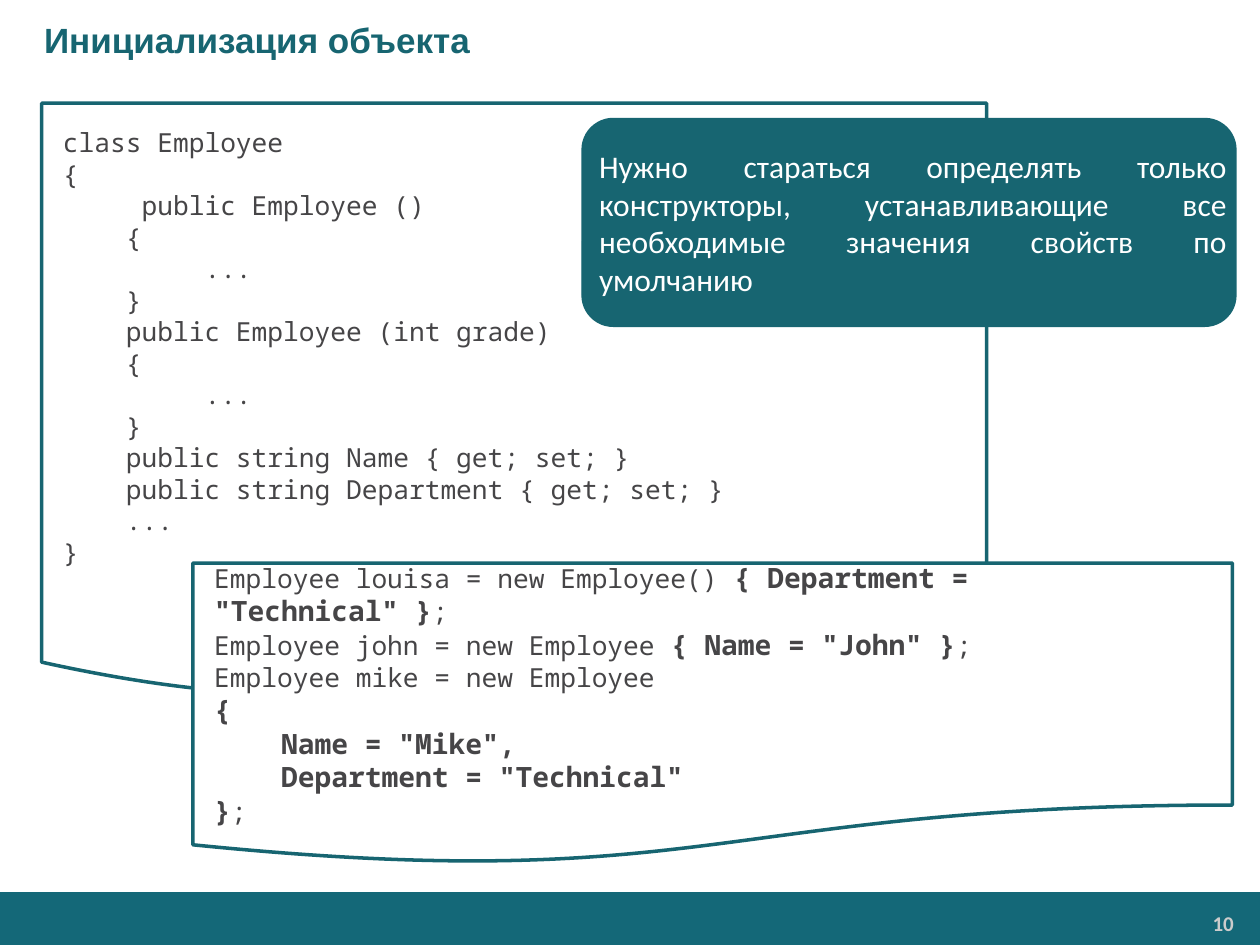
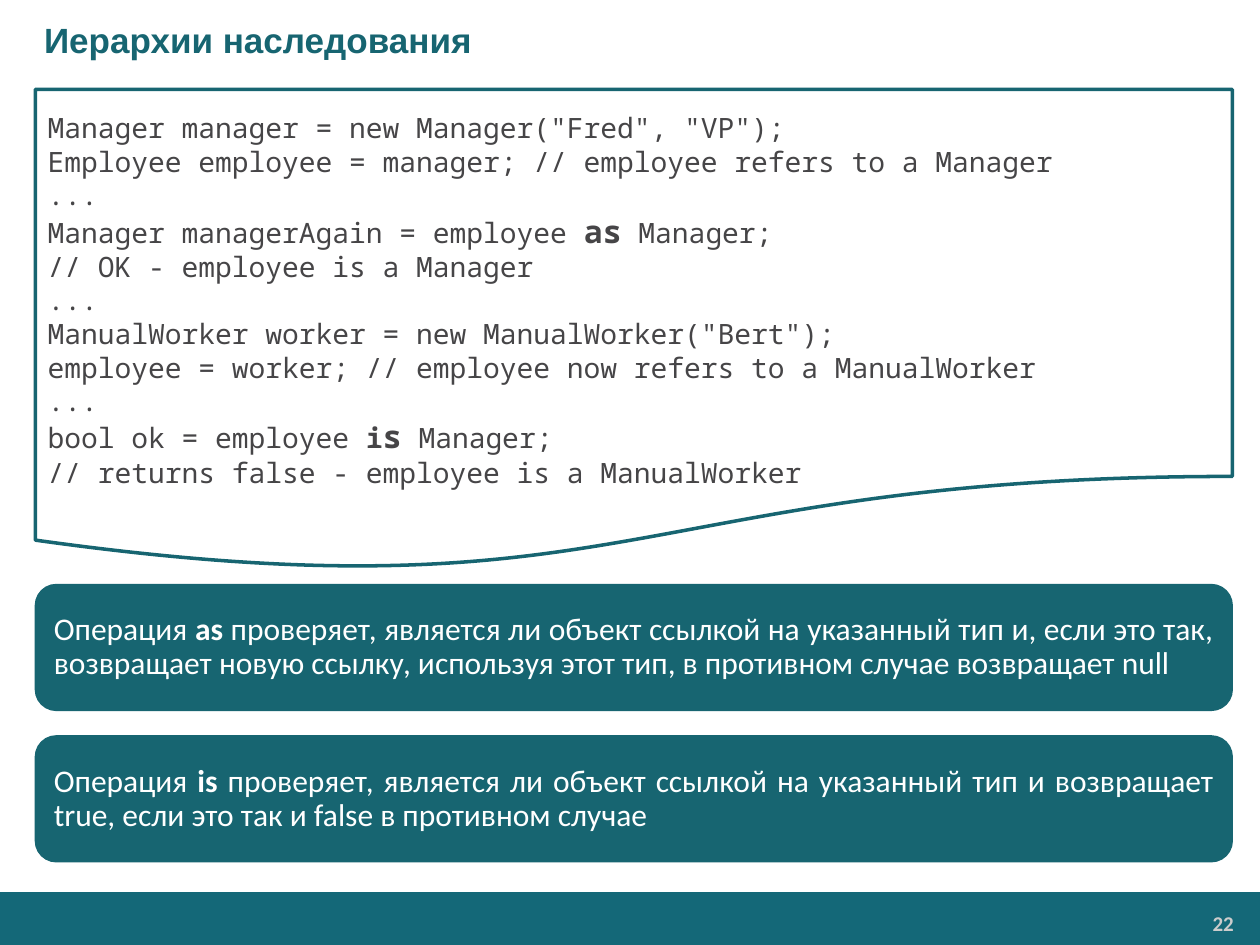
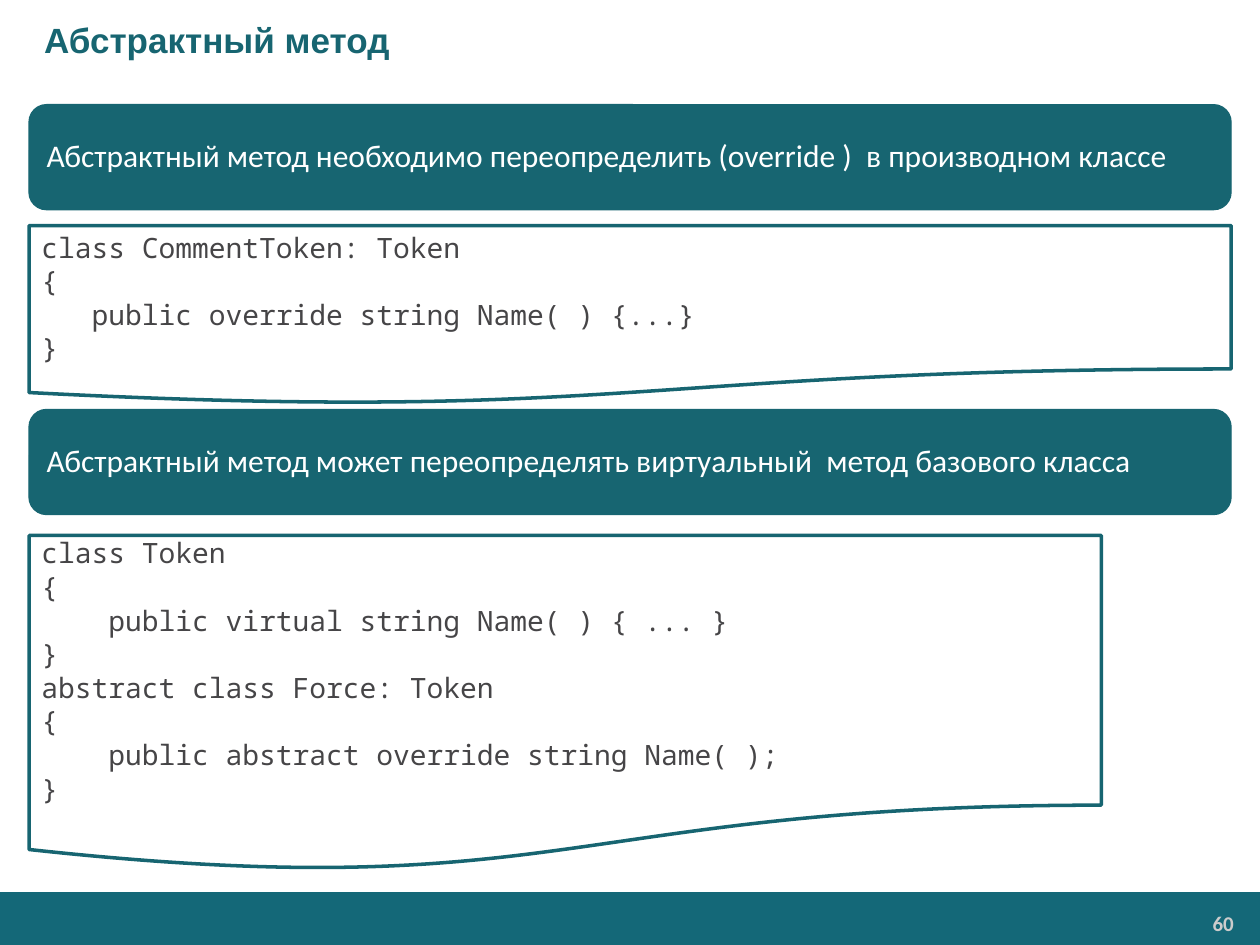
from dataclasses import dataclass

from pptx import Presentation
from pptx.dml.color import RGBColor
from pptx.enum.shapes import MSO_SHAPE
from pptx.enum.text import MSO_ANCHOR, PP_ALIGN
from pptx.util import Pt


@dataclass(frozen=True)
class Theme:
    teal: str = "176571"
    band: str = "146878"
    paper: str = "FFFFFF"
    ink: str = "464547"
    page: str = "CCCCCC"
    heading_font: str = "Arial"
    body_font: str = "Calibri"
    code_font: str = "Noto Sans Mono"
    heading_size: int = 20
    note_size: int = 18
    code_size: int = 16
    small_code_size: int = 15
    page_size: int = 12
    code_line: float = 2
    note_line: float = 0.75


THEME = Theme()
WIDTH, HEIGHT = 720, 540
INSET = (7.2, 3.6, 7.2, 3.6)

CONSTRUCTORS = [
    "class Employee",
    "{",
    "     public Employee ()",
    "    {",
    "         ...",
    "    }",
    "    public Employee (int grade)",
    "    {",
    "         ...",
    "    }",
    "    public string Name { get; set; }",
    "    public string Department { get; set; }",
    "    ...",
    "}",
]
INITIALIZERS = [
    ["Employee louisa = new Employee() ", ('{ Department = "Technical" }', 16), ";"],
    ["Employee john = new Employee ", ('{ Name = "John" }', 16), ";"],
    "Employee mike = new Employee",
    [("{", 16)],
    [('    Name = "Mike",', 16)],
    [('    Department = "Technical"', 16)],
    [("}", 16), ";"],
]
CONVERSIONS = [
    'Manager manager = new Manager("Fred", "VP");',
    "Employee employee = manager; // employee refers to a Manager",
    "...",
    ["Manager managerAgain = employee ", ("as", 18), " Manager;"],
    "// OK - employee is a Manager",
    "...",
    'ManualWorker worker = new ManualWorker("Bert");',
    "employee = worker; // employee now refers to a ManualWorker",
    "...",
    ["bool ok = employee ", ("i", 16), ("s", 18), " Manager;"],
    "// returns false - employee is a ManualWorker",
]
OVERRIDE = [
    "class CommentToken: Token",
    "{",
    "   public override string Name( ) {...}",
    "}",
]
ABSTRACT_OVERRIDE = [
    "class Token",
    "{",
    "    public virtual string Name( ) { ... }",
    "}",
    "abstract class Force: Token",
    "{",
    "    public abstract override string Name( );",
    "}",
]
DEFAULTS_ADVICE = [
    "Нужно стараться определять только конструкторы, устанавливающие все "
    "необходимые значения свойств по умолчанию"
]
AS_RULE = [[
    "Операция ", ("as", 18),
    " проверяет, является ли объект ссылкой на указанный тип и, если это так, "
    "возвращает новую ссылку, используя этот тип, в противном случае возвращает null",
]]
IS_RULE = [[
    "Операция ", ("is", 18),
    " проверяет, является ли объект ссылкой на указанный тип и возвращает true, "
    "если это так и false в противном случае",
]]
MUST_OVERRIDE = ["Абстрактный метод необходимо переопределить (override )  в производном классе"]
MAY_OVERRIDE = ["Абстрактный метод может переопределять виртуальный  метод базового класса"]

SMALL = THEME.small_code_size
LESSONS = [
    ("Инициализация объекта", 10, [
        ("code", (23.8, 59, 540, 342), CONSTRUCTORS,
         {"size": SMALL, "inset": (12.2, 12.2, 11.5, 7.9)}),
        ("code", (110.2, 321.8, 594, 172.4), INITIALIZERS,
         {"size": SMALL, "inset": (12.2, 10.8, 11.5, 0)}),
        ("note", (332.6, 67.7, 373.7, 118.8), DEFAULTS_ADVICE,
         {"corner": 0.15, "spacing": 1.0, "inset": (4.5, 0, 0, 0)}),
    ]),
    ("Иерархии наследования", 22, [
        ("code", (20.2, 51.1, 684, 275.8), CONVERSIONS, {"inset": (7.2, 22.8, 7.2, 3.6)}),
        ("note", (20.2, 334, 684, 72), AS_RULE, {}),
        ("note", (20.2, 420.5, 684, 72), IS_RULE, {}),
    ]),
    ("Абстрактный метод", 60, [
        ("note", (16.6, 59.8, 686.9, 60), MUST_OVERRIDE, {}),
        ("code", (16.6, 128.9, 686.9, 102.2), OVERRIDE, {}),
        ("note", (16.6, 234, 686.9, 60), MAY_OVERRIDE, {}),
        ("code", (16.6, 306, 612.7, 192.2), ABSTRACT_OVERRIDE, {}),
    ]),
]


def write(frame, lines, *, font, size, color, bold=False, align=PP_ALIGN.LEFT,
          anchor=MSO_ANCHOR.MIDDLE, inset=INSET, spacing=1.0):
    frame.word_wrap = True
    frame.vertical_anchor = anchor
    (frame.margin_left, frame.margin_top,
     frame.margin_right, frame.margin_bottom) = map(Pt, inset)
    for index, line in enumerate(lines):
        paragraph = frame.add_paragraph() if index else frame.paragraphs[0]
        paragraph.alignment = align
        paragraph.line_spacing = spacing
        for piece in [line] if isinstance(line, str) else line:
            plain = isinstance(piece, str)
            words, points = (piece, size) if plain else piece
            run = paragraph.add_run()
            run.text = words
            run.font.name = font
            run.font.size = Pt(points)
            run.font.bold = bold or not plain
            run.font.color.rgb = RGBColor.from_string(color)


def panel(slide, preset, place, fill, line=None, line_width=0):
    shape = slide.shapes.add_shape(preset, *map(Pt, place))
    shape.shadow.inherit = False
    shape.fill.solid()
    shape.fill.fore_color.rgb = RGBColor.from_string(fill)
    if line:
        shape.line.color.rgb = RGBColor.from_string(line)
        shape.line.width = Pt(line_width)
    else:
        shape.line.fill.background()
    return shape


def code(slide, place, lines, size=THEME.code_size, inset=INSET):
    page = panel(slide, MSO_SHAPE.FLOWCHART_DOCUMENT, place, THEME.paper,
                 THEME.teal, THEME.code_line)
    write(page.text_frame, lines, font=THEME.code_font, size=size,
          color=THEME.ink, inset=inset)


def note(slide, place, lines, corner=None, spacing=0.9, inset=INSET):
    callout = panel(slide, MSO_SHAPE.ROUNDED_RECTANGLE, place, THEME.teal,
                    THEME.teal, THEME.note_line)
    if corner:
        callout.adjustments[0] = corner
    write(callout.text_frame, lines, font=THEME.body_font, size=THEME.note_size,
          color=THEME.paper, align=PP_ALIGN.JUSTIFY, spacing=spacing, inset=inset)


def frame_slide(slide, heading, number):
    panel(slide, MSO_SHAPE.RECTANGLE, (0, 509.8, WIDTH, HEIGHT - 509.8), THEME.band)
    page_number = slide.shapes.add_textbox(Pt(592.6), Pt(517.7), Pt(117.4), Pt(20.2))
    write(page_number.text_frame, [str(number)], font=THEME.body_font,
          size=THEME.page_size, color=THEME.page, bold=True, align=PP_ALIGN.RIGHT,
          anchor=MSO_ANCHOR.TOP, inset=(5, 2.9, 5, 2.9))
    title = slide.shapes.add_textbox(0, 0, Pt(WIDTH), Pt(45.4))
    write(title.text_frame, [heading], font=THEME.heading_font, size=THEME.heading_size,
          color=THEME.teal, bold=True, inset=(25.2, 3.6, 7.2, 3.6))


def main():
    deck = Presentation()
    deck.slide_width, deck.slide_height = Pt(WIDTH), Pt(HEIGHT)
    draw = {"code": code, "note": note}
    for heading, number, parts in LESSONS:
        slide = deck.slides.add_slide(deck.slide_layouts[6])
        frame_slide(slide, heading, number)
        for kind, place, lines, options in parts:
            draw[kind](slide, place, lines, **options)
    deck.save("out.pptx")


if __name__ == "__main__":
    main()
